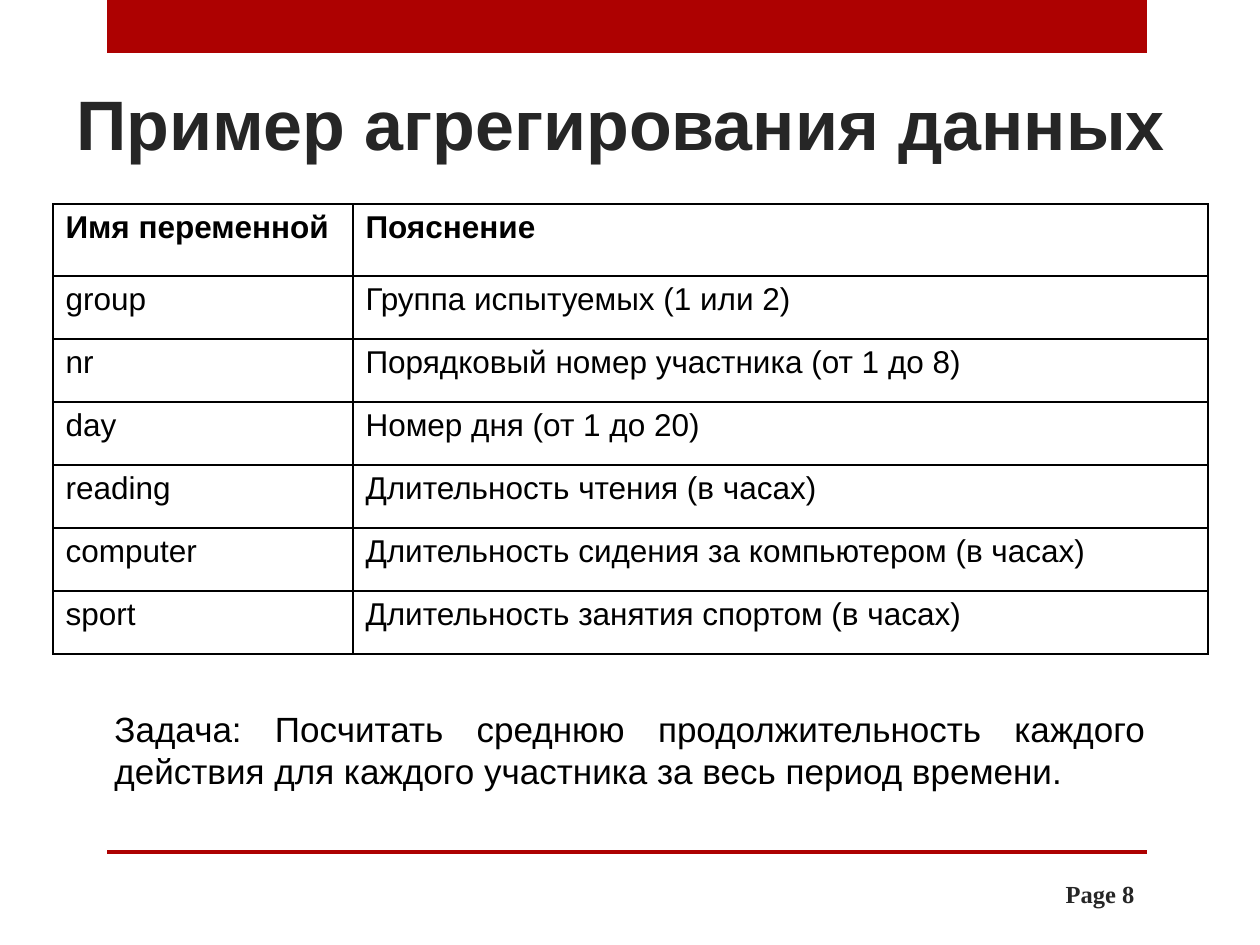
"""Build a slide listing the variables of a data aggregation example."""
from lxml import etree
from pptx import Presentation
from pptx.dml.color import RGBColor
from pptx.enum.shapes import MSO_SHAPE
from pptx.enum.text import MSO_ANCHOR, PP_ALIGN
from pptx.oxml.ns import qn
from pptx.util import Pt

RECT = MSO_SHAPE.RECTANGLE
TOP, MIDDLE, BOTTOM = MSO_ANCHOR.TOP, MSO_ANCHOR.MIDDLE, MSO_ANCHOR.BOTTOM
LEFT, CENTER, RIGHT, JUSTIFY = PP_ALIGN.LEFT, PP_ALIGN.CENTER, PP_ALIGN.RIGHT, PP_ALIGN.JUSTIFY

RED = RGBColor(0xAD, 0x01, 0x01)
DARK = RGBColor(0x26, 0x26, 0x26)
BLACK = RGBColor(0, 0, 0)

BARS = [(107, 0, 1040, 53), (107, 850, 1040, 4)]
TITLE = "Пример агрегирования данных"
TASK = ("Задача: Посчитать среднюю продолжительность каждого действия "
        "для каждого участника за весь период времени.")
PAGE = "Page 8"
VARIABLES = [
    ("Имя переменной", "Пояснение"),
    ("group", "Группа испытуемых (1 или 2)"),
    ("nr", "Порядковый номер участника (от 1 до 8)"),
    ("day", "Номер дня (от 1 до 20)"),
    ("reading", "Длительность чтения (в часах)"),
    ("computer", "Длительность сидения за компьютером (в часах)"),
    ("sport", "Длительность занятия спортом (в часах)"),
]
COLS = [300, 855]
HEADER_H, ROW_H = 72, 63
INDENT = 48


def px(n):
    return round(n * 914400 / 126)


def write(tf, text, size, color, bold=False, align=LEFT, font="Arial"):
    p = tf.paragraphs[0]
    p.text = text
    p.alignment = align
    f = p.runs[0].font
    f.name, f.size, f.bold = font, Pt(size), bold
    f.color.rgb = color
    return p


def add_text(slide, box, anchor, *args, **kwargs):
    tf = slide.shapes.add_textbox(*map(px, box)).text_frame
    tf.word_wrap = True
    tf.vertical_anchor = anchor
    return write(tf, *args, **kwargs)


def add_borders(cell):
    tc_pr = cell._tc.get_or_add_tcPr()
    for side in ("lnL", "lnR", "lnT", "lnB"):
        ln = etree.SubElement(tc_pr, qn(f"a:{side}"), w=str(Pt(1)))
        fill = etree.SubElement(ln, qn("a:solidFill"))
        etree.SubElement(fill, qn("a:srgbClr"), val=str(BLACK))


def add_variables(slide):
    heights = [HEADER_H] + [ROW_H] * (len(VARIABLES) - 1)
    table = slide.shapes.add_table(
        len(VARIABLES), len(COLS), px(53), px(204), px(sum(COLS)), px(sum(heights))).table
    for col, width in zip(table.columns, COLS):
        col.width = px(width)
    for i, (row, height, texts) in enumerate(zip(table.rows, heights, VARIABLES)):
        row.height = px(height)
        for cell, text in zip(row.cells, texts):
            write(cell.text_frame, text, 18, BLACK, bold=i == 0)
            add_borders(cell)
            cell.fill.background()


def main():
    prs = Presentation()
    prs.slide_width, prs.slide_height = px(1260), px(945)
    slide = prs.slides.add_slide(prs.slide_layouts[6])
    for box in BARS:
        sp = slide.shapes.add_shape(RECT, *map(px, box))
        sp.shadow.inherit = False
        sp.fill.solid()
        sp.fill.fore_color.rgb = RED
        sp.line.fill.background()
    add_text(slide, (997, 869, 150, 50), MIDDLE, PAGE, 14, DARK, True, RIGHT, "Times New Roman")
    add_text(slide, (15, 55, 1211, 116), BOTTOM, TITLE, 40, DARK, True, CENTER)
    add_variables(slide)
    p = add_text(slide, (54, 701, 1104, 149), TOP, TASK, 20, BLACK, align=JUSTIFY)
    p.space_before = Pt(4)
    p._p.get_or_add_pPr().set("marL", str(px(INDENT)))
    prs.save("out.pptx")


if __name__ == "__main__":
    main()
